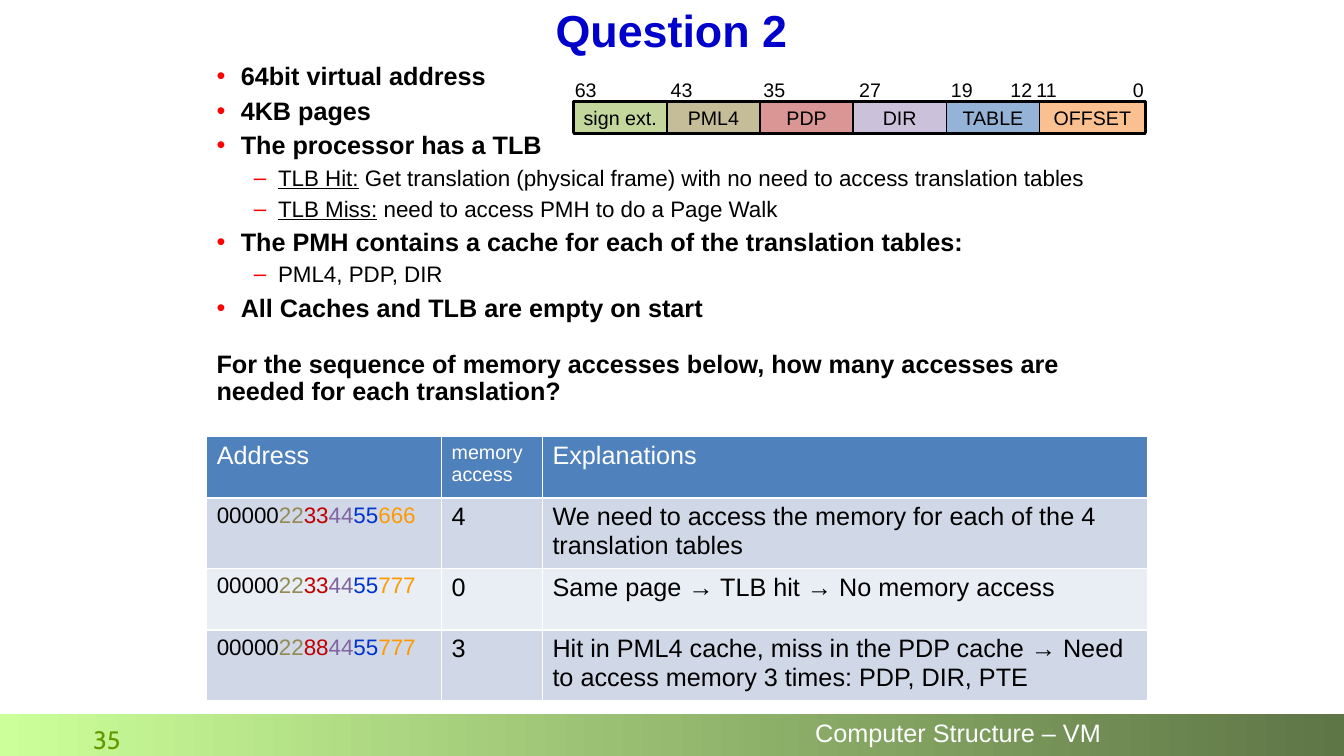
from lxml.etree import SubElement as Sub
from pptx import Presentation as Deck
from pptx.dml.color import RGBColor as Rgb
from pptx.enum.shapes import MSO_SHAPE as Kind
from pptx.enum.text import MSO_ANCHOR as Anchor, PP_ALIGN as Align
from pptx.oxml.ns import qn
from pptx.util import Inches, Pt

HUE = {
    "black": "000000", "white": "FFFFFF", "title": "0000CC", "bullet": "FF0000",
    "page": "669900", "lime": "CCFF99", "moss": "5E7546",
    "head": "4F81BD", "odd": "D0D8E8", "even": "E9EDF4",
    "sign": "C3D69B", "pml4": "C4BD97", "pdp": "D99694",
    "dir": "CCC1DA", "table": "95B3D7", "offset": "FAC090",
    "olive": "948A54", "red": "C00000", "violet": "8064A2",
    "blue": "0033CC", "orange": "FF9900",
}
DIGITS = ["black", "olive", "red", "violet", "blue", "orange"]
FIELDS = [("sign ext.", "sign"), ("PML4", "pml4"), ("PDP", "pdp"),
          ("DIR", "dir"), ("TABLE", "table"), ("OFFSET", "offset")]
# Bit number and the centre of its label
BITS = [("63", 5.81), ("43", 6.76), ("35", 7.68), ("27", 8.63),
        ("19", 9.54), ("12", 10.13), ("11", 10.38), ("0", 11.29)]
# Level and runs; a run is its text and whether it is underlined
POINTS = [
    (0, [("64bit virtual address", False)]),
    (0, [("4KB pages", False)]),
    (0, [("The processor has a TLB", False)]),
    (1, [("TLB Hit:", True), (" Get translation (physical frame) with no need "
                              "to access translation tables", False)]),
    (1, [("TLB Miss:", True), (" need to access PMH to do a Page Walk", False)]),
    (0, [("The PMH contains a cache for each of the translation tables:", False)]),
    (1, [("PML4, PDP, DIR", False)]),
    (0, [("All Caches and TLB are empty on start", False)]),
]
ASK = ("For the sequence of memory accesses below, "
       "how many accesses are needed for each translation?")
HEADS = [("Address", 18), ("memory access", 14), ("Explanations", 18)]
ROWS = [
    (["00000", "22", "33", "44", "55", "666"], "4",
     "We need to access the memory for each of the 4 translation tables"),
    (["00000", "22", "33", "44", "55", "777"], "0",
     "Same page → TLB hit → No memory access"),
    (["00000", "22", "88", "44", "55", "777"], "3",
     "Hit in PML4 cache, miss in the PDP cache → Need to access memory "
     "3 times: PDP, DIR, PTE"),
]


def color(name):
    return Rgb.from_string(HUE[name])


def add_run(para, text, size, hue="black", bold=False, under=False, face="Arial"):
    run = para.add_run()
    run.text = text
    font = run.font
    font.name, font.size = face, Pt(size)
    font.bold, font.underline = bold, under
    font.color.rgb = color(hue)


def set_frame(shape, pad=(0.1, 0.05), wrap=True, anchor=Anchor.TOP):
    frame = shape.text_frame
    frame.word_wrap = wrap
    frame.vertical_anchor = anchor
    frame.margin_left = frame.margin_right = Inches(pad[0])
    frame.margin_top = frame.margin_bottom = Inches(pad[1])
    return frame


def add_text(slide, box, text, size, pad=(0.1, 0.05), wrap=True,
             anchor=Anchor.TOP, gap=0.9, **style):
    shape = slide.shapes.add_textbox(*map(Inches, box))
    para = set_frame(shape, pad, wrap, anchor).paragraphs[0]
    para.alignment, para.line_spacing = Align.CENTER, gap
    add_run(para, text, size, **style)


def add_rect(slide, box, fill=None, line=None):
    """Draw a rectangle; line is its width in points."""
    rect = slide.shapes.add_shape(Kind.RECTANGLE, *map(Inches, box))
    rect.shadow.inherit = False
    if fill:
        rect.fill.solid()
        rect.fill.fore_color.rgb = color(fill)
    else:
        rect.fill.background()
    if line:
        rect.line.color.rgb = color("black")
        rect.line.width = Pt(line)
    else:
        rect.line.fill.background()
    return rect


def add_bar(slide):
    bar = add_rect(slide, (0, 7.08, 13.33, 0.42))
    bar.fill.gradient()
    bar.fill.gradient_angle = 0
    for stop, name in zip(bar.fill.gradient_stops, ("lime", "moss")):
        stop.color.rgb = color(name)
    frame = set_frame(bar, (0, 0), anchor=Anchor.MIDDLE)
    frame.margin_right = Inches(2.41)
    para = frame.paragraphs[0]
    para.alignment, para.line_spacing = Align.RIGHT, 0.8
    add_run(para, "Computer Structure – VM", 18, "white")


def set_bullet(para, level):
    """Space the paragraph by share of its size and give it a red bullet."""
    para.level = level
    para.space_before = Pt(0)
    prop = para._p.get_or_add_pPr()
    space = prop.find(qn("a:spcBef"))
    space.remove(space[0])
    Sub(space, qn("a:spcPct"), val="30000")
    prop.set("marL", str(Inches((0.24, 0.61)[level])))
    prop.set("indent", str(Inches(-0.24)))
    Sub(Sub(prop, qn("a:buClr")), qn("a:srgbClr"), val=HUE["bullet"])
    Sub(prop, qn("a:buFont"), typeface="Arial")
    Sub(prop, qn("a:buChar"), char="•–"[level])


def add_points(slide):
    shape = slide.shapes.add_textbox(*map(Inches, (2.05, 0.58, 9.33, 3.58)))
    frame = set_frame(shape)
    for i, (level, runs) in enumerate(POINTS):
        para = frame.add_paragraph() if i else frame.paragraphs[0]
        para.line_spacing = 0.9
        set_bullet(para, level)
        for text, under in runs:
            add_run(para, text, (18, 16)[level], bold=level == 0, under=under)
    para = frame.add_paragraph()
    para.line_spacing, para.space_before = 0.9, Pt(21)
    add_run(para, ASK, 18, bold=True)


def add_fields(slide):
    left, top, step = 5.69, 1, 0.924
    for i, (name, hue) in enumerate(FIELDS):
        width = 1.05 if name == "OFFSET" else step
        rect = add_rect(slide, (left + i * step, top, width, 0.33), hue, 1)
        para = set_frame(rect, (0.09, 0.04), False, Anchor.MIDDLE).paragraphs[0]
        para.alignment = Align.CENTER
        add_run(para, name, 14)
    add_rect(slide, (left, 1.01, 5.67, 0.31), line=2)
    for bit, mid in BITS:
        add_text(slide, (mid - 0.15, 0.81, 0.3, 0.2), bit, 14, (0, 0),
                 False, Anchor.MIDDLE, 0.8)


def set_cell(cell, runs, fill):
    """Fill a cell and line it in white; runs hold text, size and colour."""
    cell.fill.solid()
    cell.fill.fore_color.rgb = color(fill)
    for run in runs:
        add_run(cell.text_frame.paragraphs[0], *run)
    prop = cell._tc.get_or_add_tcPr()
    for i, side in enumerate("LRTB"):
        line = prop.makeelement(qn("a:ln" + side), {"w": str(Pt(1))})
        Sub(Sub(line, qn("a:solidFill")), qn("a:srgbClr"), val=HUE["white"])
        prop.insert(i, line)


def add_grid(slide):
    grid = slide.shapes.add_table(4, 3, *map(Inches, (2.05, 4.33, 9.33, 2.58))).table
    for col, width in zip(grid.columns, (2.33, 1, 6)):
        col.width = Inches(width)
    for row, height in zip(grid.rows, (0.61, 0.68, 0.61, 0.68)):
        row.height = Inches(height)
    for i, (text, size) in enumerate(HEADS):
        set_cell(grid.cell(0, i), [(text, size, "white")], "head")
    for i, (parts, count, why) in enumerate(ROWS, 1):
        digits = [(part, 16, hue) for part, hue in zip(parts, DIGITS)]
        for j, runs in enumerate((digits, [(count, 18)], [(why, 18)])):
            set_cell(grid.cell(i, j), runs, "odd" if i % 2 else "even")


def main():
    deck = Deck()
    deck.slide_width, deck.slide_height = Inches(13.33), Inches(7.5)
    slide = deck.slides.add_slide(deck.slide_layouts[6])
    # Footer
    add_bar(slide)
    add_text(slide, (0.67, 7.17, 0.78, 0.37), "35", 18, hue="page", face="Cabin")
    # Title and question
    add_text(slide, (2.62, 0.08, 8.08, 0.5), "Question 2", 32, (0, 0),
             anchor=Anchor.MIDDLE, hue="title", bold=True)
    add_grid(slide)
    add_points(slide)
    # Address layout
    add_fields(slide)
    deck.save("out.pptx")


main()
